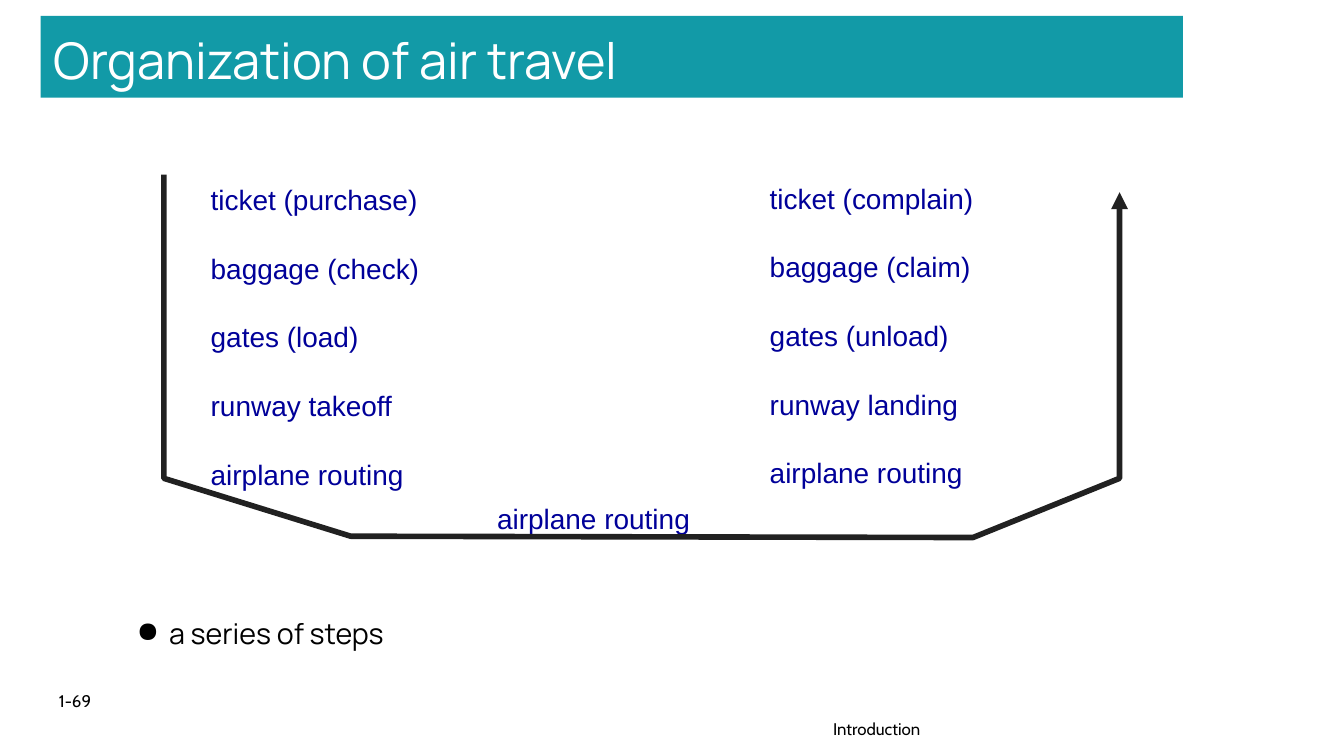
"""Build the air travel slide with its two columns of steps and the route between them."""
from lxml import etree
from pptx import Presentation
from pptx import util as u
from pptx.dml.color import RGBColor
from pptx.enum import shapes, text
from pptx.oxml.ns import qn

COLORS = {"teal": "129AA7", "navy": "000099", "route": "212121",
          "black": "000000", "white": "FFFFFF"}


class Deck:
    """Hold the style and the current slide."""

    def __init__(self, prs):
        """Add a blank slide."""
        self.s = prs.slides.add_slide(prs.slide_layouts[6])

    def color(self, name):
        """Return a named colour."""
        return RGBColor.from_string(COLORS[name])

    def set_text(self, sp, lines, size, font, color, inset=3.6, gap=0):
        """Fill a shape with left-aligned paragraphs."""
        tf = sp.text_frame
        tf.word_wrap = True
        tf.margin_left = tf.margin_right = u.Pt(7.2)
        tf.margin_top = tf.margin_bottom = u.Pt(inset)
        tf.vertical_anchor = text.MSO_ANCHOR.TOP
        tf.text = "\n".join(lines)
        for i, p in enumerate(tf.paragraphs):
            p.alignment = text.PP_ALIGN.LEFT
            if i:
                p.space_before = u.Pt(gap)
            for r in p.runs:
                r.font.size = u.Pt(size)
                r.font.name = font
                r.font.color.rgb = self.color(color)
        return tf

    def label(self, box, lines, size, font, color="black", **style):
        """Add a text box."""
        sp = self.s.shapes.add_textbox(*map(u.Pt, box))
        return self.set_text(sp, lines, size, font, color, **style)

    def title(self, box, line):
        """Add the title bar."""
        sp = self.s.shapes.add_shape(shapes.MSO_SHAPE.RECTANGLE, *map(u.Pt, box))
        sp.shadow.inherit = False
        sp.fill.solid()
        sp.fill.fore_color.rgb = self.color("teal")
        sp.line.fill.background()
        self.set_text(sp, [line], 27, "Manrope", "white", inset=7.2)

    def bullet(self, box, line):
        """Add a bulleted line."""
        tf = self.label(box, [line], 15.3, "Manrope", inset=7.2)
        p = tf.paragraphs[0]
        p.line_spacing = 0.95
        pPr = p._p.get_or_add_pPr()
        pPr.set("marL", str(u.Pt(17.3)))
        pPr.set("indent", str(u.Pt(-17.3)))
        clr = etree.SubElement(pPr, qn("a:buClr"))
        etree.SubElement(clr, qn("a:srgbClr"), val=COLORS["black"])
        etree.SubElement(pPr, qn("a:buChar"), char="●")

    def steps(self, box, lines):
        """Add a column of travel steps."""
        tf = self.label(box, lines, 15, "Arial", "navy", gap=18.8)
        tf.word_wrap = False
        tf.auto_size = text.MSO_AUTO_SIZE.SHAPE_TO_FIT_TEXT

    def route(self, points):
        """Add an open path that ends in an arrowhead."""
        start, *rest = [(u.Pt(x), u.Pt(y)) for x, y in points]
        outline = self.s.shapes.build_freeform(*start)
        outline.add_line_segments(rest, close=False)
        sp = outline.convert_to_shape()
        sp.shadow.inherit = False
        sp.fill.background()
        sp.line.color.rgb = self.color("route")
        sp.line.width = u.Pt(3)
        ln = sp.line._get_or_add_ln()
        etree.SubElement(ln, qn("a:round"))
        etree.SubElement(ln, qn("a:tailEnd"), type="triangle")


def main():
    """Build and save the slide."""
    prs = Presentation()
    prs.slide_width, prs.slide_height = u.Pt(720), u.Pt(405)
    deck = Deck(prs)
    deck.label((439.2, 381.6, 228, 17), ["Introduction"], 9, "Cabin")
    deck.title((21.8, 8.5, 612, 43.8), "Organization of air travel")
    deck.bullet((66.2, 324, 612, 32.4), "a series of steps")
    deck.steps((105.8, 94.3, 127.4, 170.6),
               ["ticket (purchase)", "baggage (check)", "gates (load)",
                "runway takeoff", "airplane routing"])
    deck.steps((405.3, 93.6, 125.3, 170.6),
               ["ticket (complain)", "baggage (claim)", "gates (unload)",
                "runway landing", "airplane routing"])
    deck.steps((259.2, 265, 119.5, 25.2), ["airplane routing"])
    deck.route([(87.8, 93.6), (87.8, 256.3), (187.9, 287.3),
                (521.3, 288), (599.8, 256.3), (599.8, 103)])
    number = deck.label((24.5, 360, 67, 31), ["1-69"], 9, "Cabin", inset=7.2)
    number.vertical_anchor = text.MSO_ANCHOR.MIDDLE
    prs.save("out.pptx")


if __name__ == "__main__":
    main()
